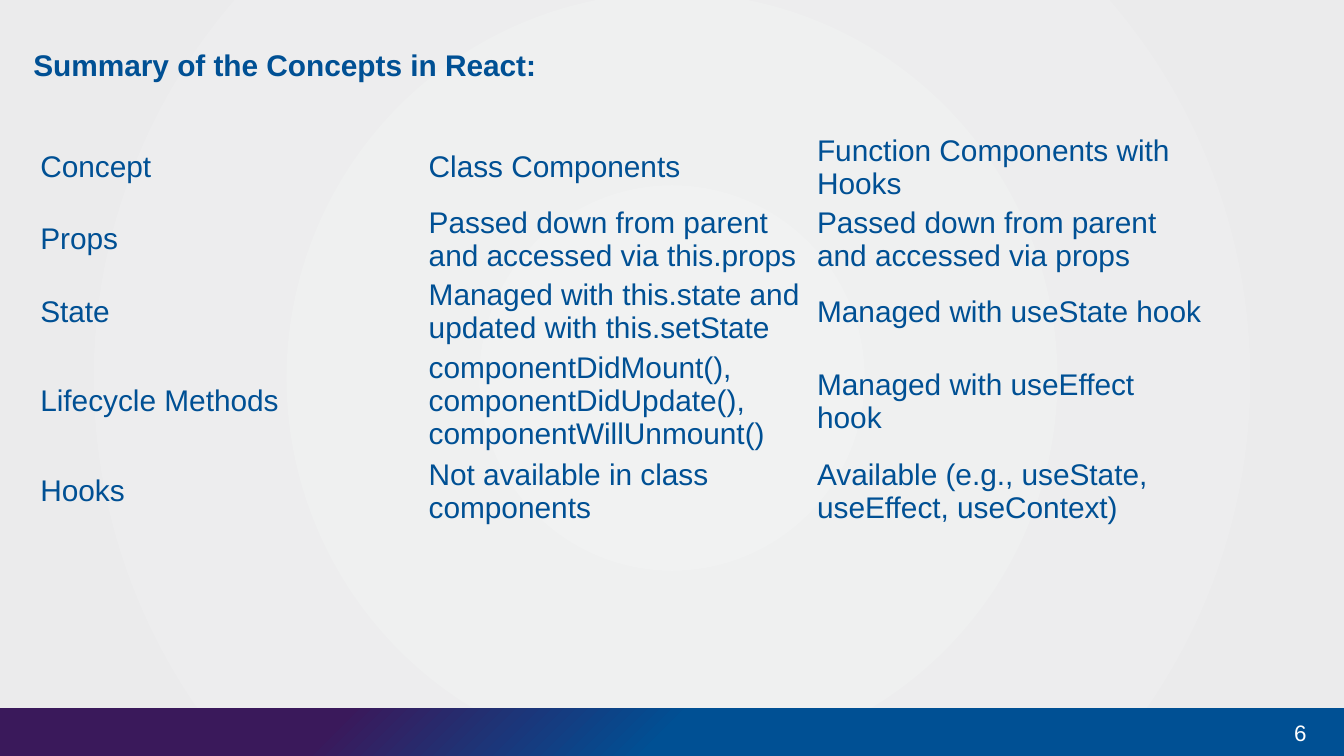
from lxml import etree
from pptx import Presentation
from pptx.dml.color import RGBColor
from pptx.enum import shapes, text
from pptx.oxml import ns
from pptx.util import Inches, Pt

COLORS = {
    "blue": "005094",
    "purple": "3A195B",
    "white": "FFFFFF",
    "center": "F1F2F2",
    "edge": "EBEBEC",
}
NO_GRID_STYLE = "{2D5ABB26-0587-4C30-8999-92F81FD0307C}"


def set_circle_gradient(properties, stops, focus):
    """Swap the solid fill for a circular gradient; focus is l, t, r, b in percent."""
    solid = properties.find(ns.qn("a:solidFill"))
    gradient = etree.Element(ns.qn("a:gradFill"), rotWithShape="1")
    stop_list = etree.SubElement(gradient, ns.qn("a:gsLst"))
    for position, color in stops:
        stop = etree.SubElement(stop_list, ns.qn("a:gs"), pos=str(position * 1000))
        etree.SubElement(stop, ns.qn("a:srgbClr"), val=COLORS[color])
    circle = etree.SubElement(gradient, ns.qn("a:path"), path="circle")
    sides = {side: str(value * 1000) for side, value in zip("ltrb", focus)}
    etree.SubElement(circle, ns.qn("a:fillToRect"), **sides)
    properties.replace(solid, gradient)


def write_text(frame, words, size, color, bold=False):
    frame.text = words
    frame.word_wrap = True
    font = frame.paragraphs[0].runs[0].font
    font.name = "Arial"
    font.size = Pt(size)
    font.bold = bold
    font.color.rgb = RGBColor.from_string(COLORS[color])


deck = Presentation()
deck.slide_width = Inches(10)
deck.slide_height = Inches(10 * 9 / 16)
slide = deck.slides.add_slide(deck.slide_layouts[6])

# Background
slide.background.fill.solid()
background = slide._element.find(".//" + ns.qn("p:bgPr"))
set_circle_gradient(background, [(0, "center"), (100, "edge")], (50, 50, 50, 50))

# Footer bar and page number
bar = slide.shapes.add_shape(
    shapes.MSO_SHAPE.RECTANGLE, 0, Inches(5.27), Inches(10), Inches(0.36))
bar.shadow.inherit = False
bar.line.fill.background()
bar.fill.solid()
set_circle_gradient(
    bar._element.spPr, [(0, "blue"), (50, "blue"), (75, "purple")], (100, 100, 0, 0))

number = slide.shapes.add_textbox(Inches(9.26), Inches(5.27), Inches(0.56), Inches(0.36))
write_text(number.text_frame, "6", 12, "white")
number.text_frame.vertical_anchor = text.MSO_ANCHOR.MIDDLE
number.text_frame.paragraphs[0].alignment = text.PP_ALIGN.RIGHT

# Title
title = slide.shapes.add_textbox(Inches(0.15), Inches(0.3), Inches(5.59), Inches(0.37))
write_text(title.text_frame, "Summary of the Concepts in React:", 16, "blue", bold=True)

# Comparison table
rows = [
    ("Concept", "Class Components", "Function Components with Hooks"),
    ("Props", "Passed down from parent and accessed via this.props",
     "Passed down from parent and accessed via props"),
    ("State", "Managed with this.state and updated with this.setState",
     "Managed with useState hook"),
    ("Lifecycle Methods", "componentDidMount(), componentDidUpdate(), componentWillUnmount()",
     "Managed with useEffect hook"),
    ("Hooks", "Not available in class components",
     "Available (e.g., useState, useEffect, useContext)"),
]
row_heights = [0.53, 0.54, 0.53, 0.78, 0.54]

table = slide.shapes.add_table(
    len(rows), 3, Inches(0.3), Inches(0.98), Inches(8.66), Inches(sum(row_heights))).table
table.first_row = False
table.horz_banding = False
table._tbl.tblPr.find(ns.qn("a:tableStyleId")).text = NO_GRID_STYLE
for column in table.columns:
    column.width = Inches(2.89)
for row, height, entries in zip(table.rows, row_heights, rows):
    row.height = Inches(height)
    for cell, words in zip(row.cells, entries):
        write_text(cell.text_frame, words, 16, "blue")
        cell.fill.background()
        cell.vertical_anchor = text.MSO_ANCHOR.MIDDLE
        cell.margin_left = cell.margin_right = 0
        cell.margin_top = cell.margin_bottom = 0

deck.save("out.pptx")
